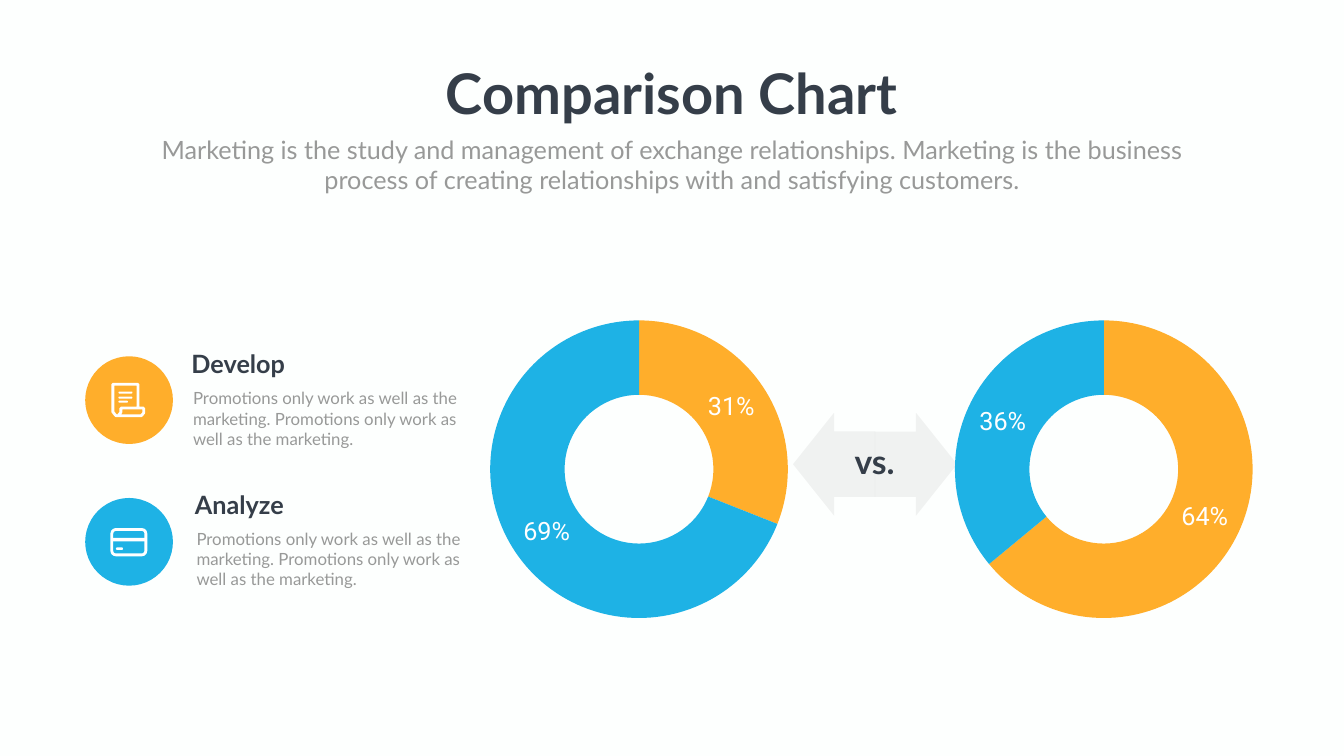
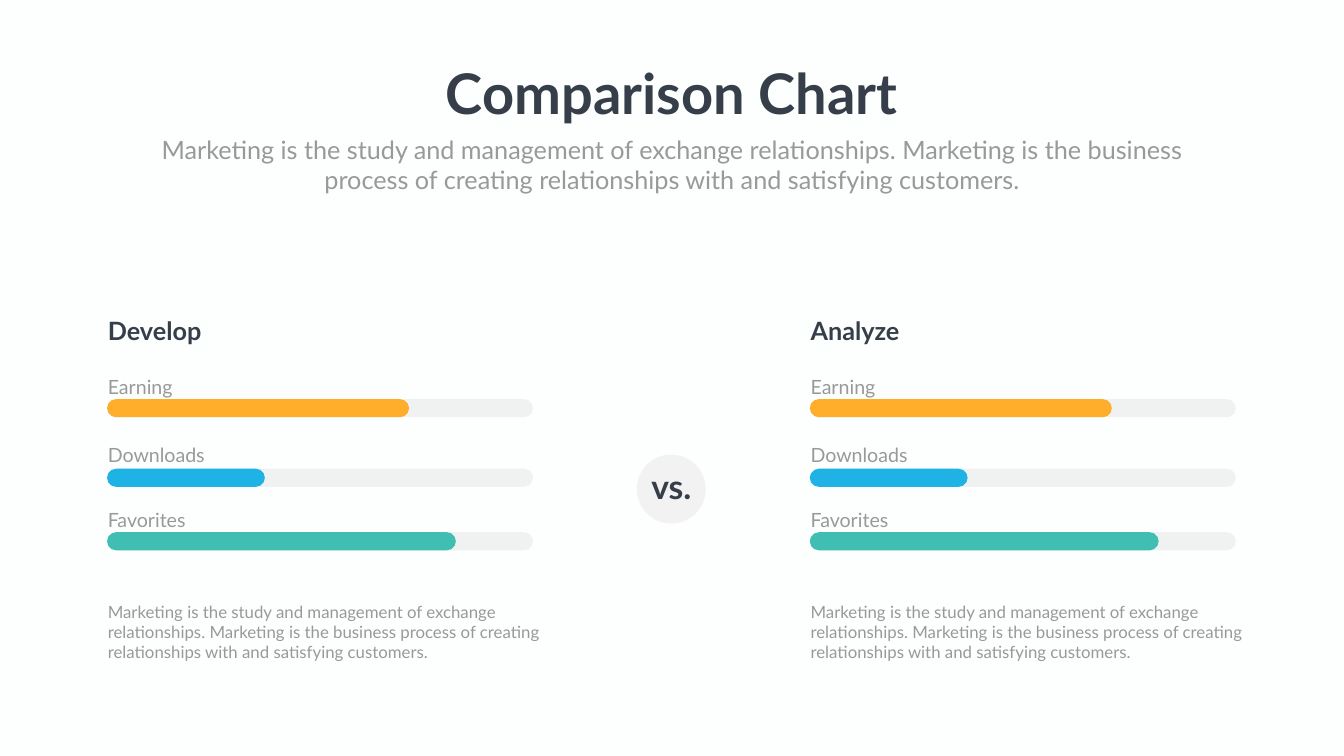
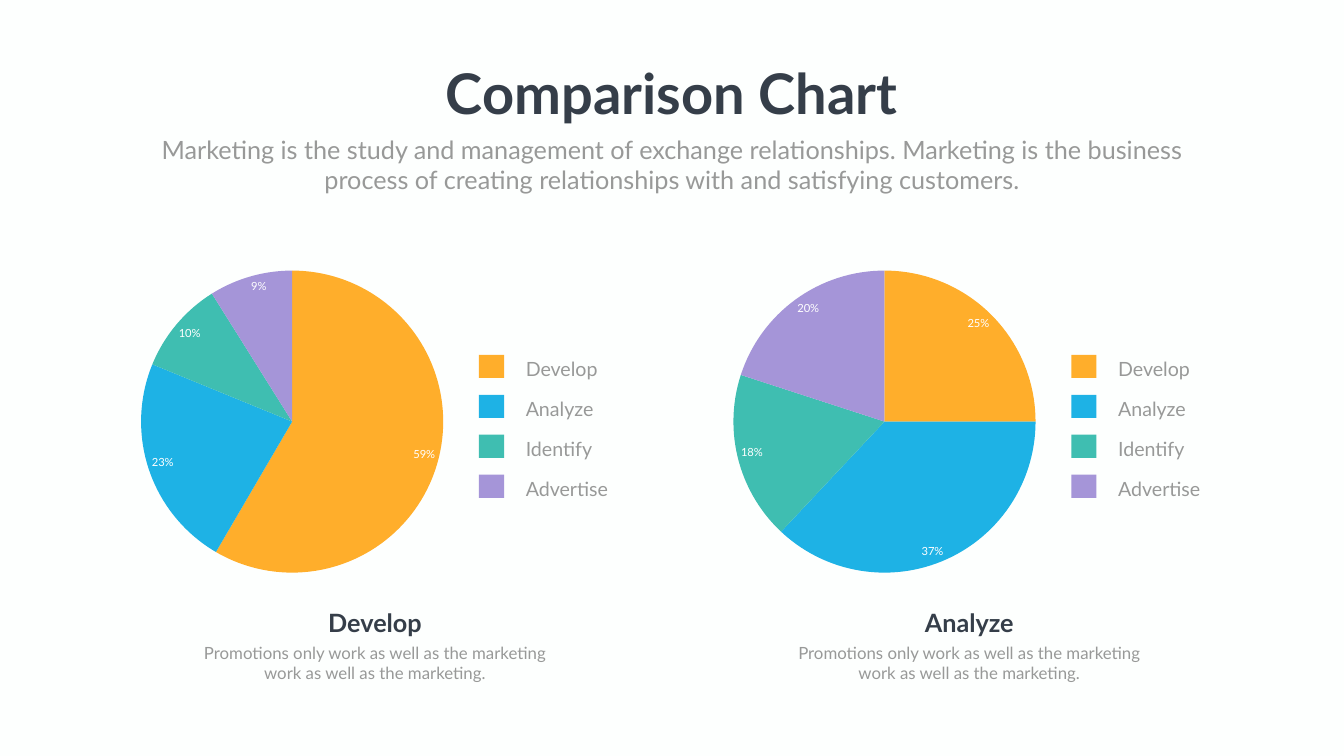
from lxml.etree import SubElement
from pptx import Presentation
from pptx.chart.data import CategoryChartData
from pptx.dml.color import RGBColor
from pptx.enum.chart import XL_CHART_TYPE, XL_LABEL_POSITION
from pptx.enum.shapes import MSO_SHAPE
from pptx.enum.text import MSO_AUTO_SIZE, PP_ALIGN
from pptx.oxml.ns import qn
from pptx.util import Pt

COLORS = {
    "bg": "FDFFFE", "dark": "353E49", "grey": "989998", "white": "FFFFFF",
    "orange": "FFAE2B", "blue": "1EB2E5", "teal": "3FBEB1",
    "purple": "A595D8", "track": "808080", "disc": "F2F2F2",
}
SERIES = ["orange", "blue", "teal", "purple"]
FONT = "Lato"
MARKETING = ("Marketing is the study and management of exchange relationships. "
             "Marketing is the business process of creating relationships "
             "with and satisfying customers.")
PROMOTIONS = ("Promotions only work as well as the marketing. "
              "Promotions only work as well as the marketing.")
CAPTION = ("Promotions only work as well as the marketing "
           "work as well as the marketing.")


def rgb(name):
    return RGBColor.from_string(COLORS[name])


def add_text(slide, text, x, y, w, h, size=24, color="grey", bold=False,
             center=False, wrap=True, spacing=None, inset=(7.2, 3.6)):
    tf = slide.shapes.add_textbox(Pt(x), Pt(y), Pt(w), Pt(h)).text_frame
    tf.word_wrap = wrap
    tf.auto_size = MSO_AUTO_SIZE.SHAPE_TO_FIT_TEXT
    tf.margin_left = tf.margin_right = Pt(inset[0])
    tf.margin_top = tf.margin_bottom = Pt(inset[1])
    p = tf.paragraphs[0]
    p.alignment = PP_ALIGN.CENTER if center else PP_ALIGN.LEFT
    if spacing:
        p.line_spacing = spacing
    r = p.add_run()
    r.text = text
    r.font.name, r.font.size, r.font.bold = FONT, Pt(size), bold
    r.font.color.rgb = rgb(color)


def add_heading(slide, text, x, y, center=False):
    add_text(slide, text, x, y, 308, 51, size=36, color="dark", bold=True,
             center=center)


def add_vs(slide, x, y, w):
    add_text(slide, "vs.", x, y, w, 65.5, size=48, color="dark", bold=True,
             center=True)


def style(sp, fill=None, line=None, alpha=None):
    """Set fill, outline and opacity (percent), and drop the shadow."""
    sp.shadow.inherit = False
    if fill:
        sp.fill.solid()
        sp.fill.fore_color.rgb = rgb(fill)
    else:
        sp.fill.background()
    if line:
        sp.line.color.rgb = rgb(line)
        sp.line.width = Pt(4)
    else:
        sp.line.fill.background()
    if alpha:
        clr = sp.fill._xPr.find(".//" + qn("a:srgbClr"))
        SubElement(clr, qn("a:alpha")).set("val", str(alpha * 1000))


def add_preset(slide, kind, x, y, w, h, fill=None, adj=(), **kwargs):
    sp = slide.shapes.add_shape(kind, Pt(x), Pt(y), Pt(w), Pt(h))
    for i, value in enumerate(adj):
        sp.adjustments[i] = value
    style(sp, fill, **kwargs)
    return sp


def add_pill(slide, x, y, w, h, fill, **kwargs):
    add_preset(slide, MSO_SHAPE.ROUNDED_RECTANGLE, x, y, w, h, fill,
               adj=[0.5], **kwargs)


def add_round_chart(slide, kind, x, y, w, h, values, font, size, base_font,
                    base_size):
    """Add a pie or doughnut whose values are percentages."""
    data = CategoryChartData()
    data.categories = [str(i + 1) for i in range(len(values))]
    data.add_series("Series 1", values)
    chart = slide.shapes.add_chart(kind, Pt(x), Pt(y), Pt(w), Pt(h), data).chart
    chart.has_legend = chart.has_title = False
    chart.font.name, chart.font.size = base_font, Pt(base_size)
    chart.font.color.rgb = rgb("grey")
    plot = chart.plots[0]
    plot.vary_by_categories = True
    for i, color in enumerate(SERIES[:len(values)]):
        fmt = plot.series[0].points[i].format
        fmt.fill.solid()
        fmt.fill.fore_color.rgb = rgb(color)
        fmt.line.fill.background()
    plot.has_data_labels = True
    labels = plot.data_labels
    labels.show_value = True
    labels.number_format, labels.number_format_is_linked = '0"%"', False
    labels.font.name, labels.font.size = font, Pt(size)
    labels.font.color.rgb = rgb("white")
    if kind == XL_CHART_TYPE.PIE:
        labels.position = XL_LABEL_POSITION.INSIDE_END


def add_receipt_icon(slide, x, y):
    outline = [(75.5, 74), (75.5, 40), (39.5, 40), (39.5, 79.5), (44, 85),
               (47, 85), (51, 80), (51, 74), (83.5, 74), (83.5, 81),
               (80, 85), (45, 85)]
    points = [(Pt(x + dx), Pt(y + dy)) for dx, dy in outline]
    builder = slide.shapes.build_freeform(*points[0])
    builder.add_line_segments(points[1:], close=False)
    style(builder.convert_to_shape(), line="white")
    for dy, w in ((50.4, 20), (57.6, 20), (63.4, 13.5)):
        add_pill(slide, x + 47.5, y + dy, w, 2.9, "white")


def add_card_icon(slide, x, y):
    add_preset(slide, MSO_SHAPE.ROUNDED_RECTANGLE, x + 38, y + 45, 48.6, 36.3,
               line="white", adj=[0.16])
    add_preset(slide, MSO_SHAPE.RECTANGLE, x + 38.9, y + 57, 47.5, 5, "white")
    add_pill(slide, x + 43.9, y + 70.6, 10.1, 3.6, "white")


def add_item(slide, title, x, y, disc_y, color, add_icon):
    add_heading(slide, title, x, y)
    add_text(slide, PROMOTIONS, x + 2.2, y + 56.9, 411, 94.3)
    add_preset(slide, MSO_SHAPE.OVAL, 121.7, disc_y, 125.3, 125.3, color)
    add_icon(slide, 121.7, disc_y)


def add_bars(slide, title, x):
    add_heading(slide, title, x, 447.1)
    for label, label_y, bar_y, w, color in (
            ("Earning", 514.8, 570.2, 431.3, "orange"),
            ("Downloads", 612.7, 669.6, 225.4, "blue"),
            ("Favorites", 705.6, 760.3, 498.2, "teal")):
        add_pill(slide, x + 6, bar_y, 608.4, 25.9, "track", alpha=10)
        add_pill(slide, x + 6, bar_y, w, 25.9, color)
        add_text(slide, label, x, label_y, 204, 51, size=28, spacing=1.5)
    add_text(slide, MARKETING, x, 856.1, 631.4, 94.3)


def add_pie_panel(slide, title, x, caption_x, values):
    add_round_chart(slide, XL_CHART_TYPE.PIE, x, 376.6, 461.5, 451.4, values,
                    FONT, 16, FONT, 16)
    for i, (label, color) in enumerate(
            zip(("Develop", "Analyze", "Identify", "Advertise"), SERIES)):
        y = 494 + i * 57.1
        add_preset(slide, MSO_SHAPE.RECTANGLE, x + 497.5, y + 12.9, 36, 33.1,
                   color)
        add_text(slide, label, x + 547.2, y, 154.1, 54.7, size=28,
                 spacing=Pt(40.8), inset=(17.28, 8.64))
    add_heading(slide, title, caption_x + 102.2, 864, center=True)
    add_text(slide, CAPTION, caption_x, 914.4, 512, 65.5, center=True)


def new_slide(prs):
    slide = prs.slides.add_slide(prs.slide_layouts[6])
    slide.background.fill.solid()
    slide.background.fill.fore_color.rgb = rgb("bg")
    add_text(slide, "Comparison Chart", 624.2, 80.6, 670.3, 104.4, size=80,
             color="dark", bold=True, center=True, wrap=False)
    add_text(slide, MARKETING, 210.2, 187.9, 1499, 94.3, size=36, center=True)
    return slide


def build_doughnuts(prs):
    slide = new_slide(prs)
    for x, turn in ((1132.6, 0), (1249.6, 180)):
        arrow = add_preset(slide, MSO_SHAPE.LEFT_ARROW, x, 589.7, 117.2, 146.9,
                           "track", adj=[0.636, 0.5], alpha=10)
        arrow.rotation = turn
    add_vs(slide, 1194.5, 626.4, 109.4)
    for x, values in ((675.4, (31, 69)), (1339.2, (64, 36))):
        add_round_chart(slide, XL_CHART_TYPE.DOUGHNUT, x, 447.8, 474.5, 445,
                        values, "Roboto", 36, "Calibri", 10)
    add_item(slide, "Develop", 266.4, 493.9, 509, "orange", add_receipt_icon)
    add_item(slide, "Analyze", 271.4, 694.8, 711.4, "blue", add_card_icon)


def build_progress_bars(prs):
    slide = new_slide(prs)
    add_bars(slide, "Develop", 146.9)
    add_bars(slide, "Analyze", 1150.6)
    add_preset(slide, MSO_SHAPE.OVAL, 909.4, 649.4, 98.6, 98.6, "disc")
    add_vs(slide, 919.4, 661.7, 79.2)


def build_pies(prs):
    slide = new_slide(prs)
    add_pie_panel(slide, "Develop", 186.5, 279.4, (59, 23, 10, 9))
    add_pie_panel(slide, "Analyze", 1032.5, 1128.2, (25, 37, 18, 20))


def main():
    prs = Presentation()
    prs.slide_width, prs.slide_height = Pt(1919.52), Pt(1080)
    build_doughnuts(prs)
    build_progress_bars(prs)
    build_pies(prs)
    prs.save("out.pptx")


if __name__ == "__main__":
    main()
